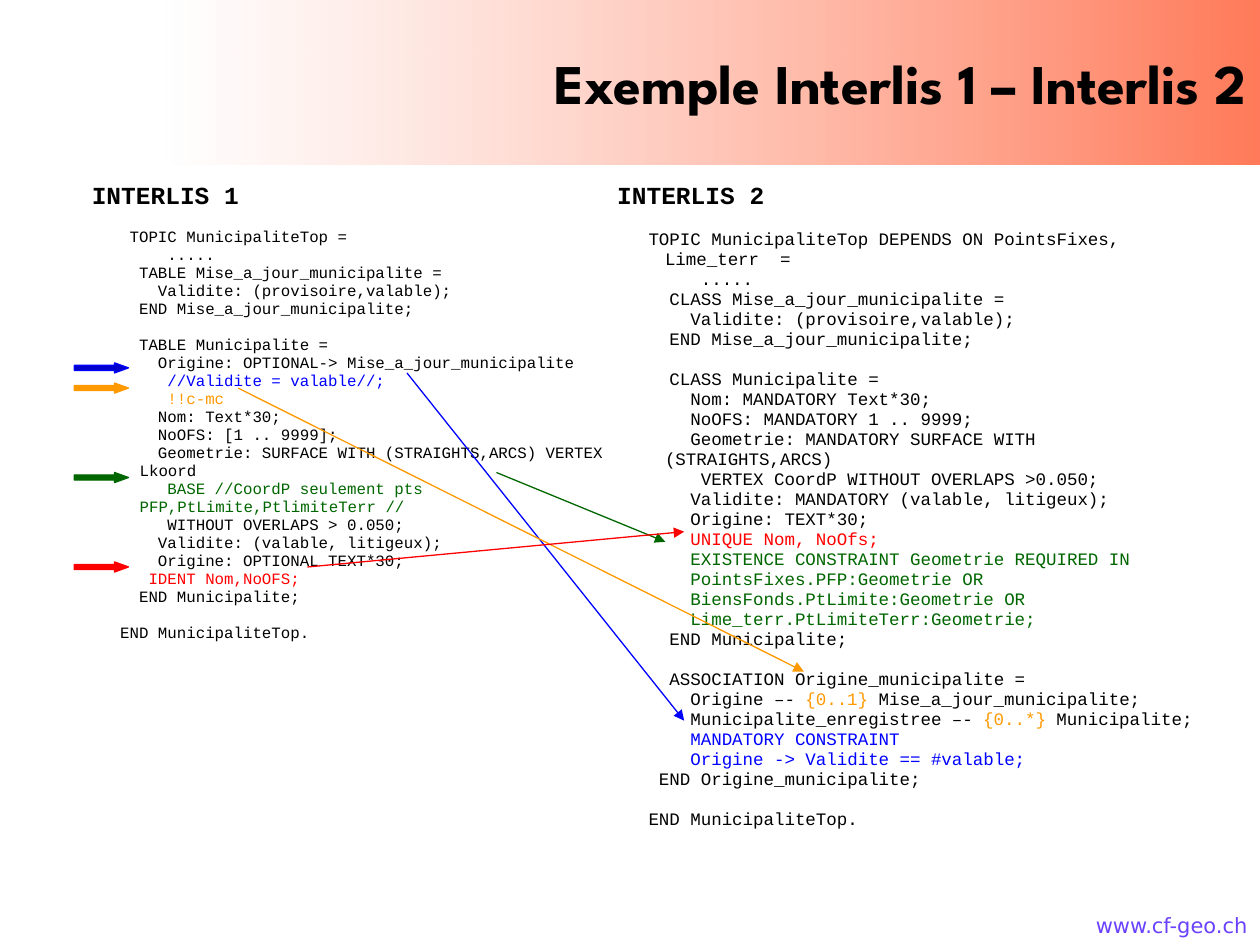
from lxml import etree
from pptx import Presentation
from pptx.dml.color import RGBColor
from pptx.enum import shapes, text
from pptx.oxml.ns import qn
from pptx.util import Inches, Pt

BLACK = RGBColor(0x00, 0x00, 0x00)
WHITE = RGBColor(0xFF, 0xFF, 0xFF)
BLUE = RGBColor(0x00, 0x00, 0xFF)
NAVY = RGBColor(0x00, 0x00, 0xCC)
ORANGE = RGBColor(0xFF, 0x99, 0x00)
GREEN = RGBColor(0x00, 0x66, 0x00)
RED = RGBColor(0xFF, 0x00, 0x00)
CORAL = RGBColor(0xFF, 0x33, 0x00)
VIOLET = RGBColor(0x6A, 0x42, 0xFE)

MONO = "Courier New"
TITLE = "Exemple Interlis 1 – Interlis 2"
SITE = "www.cf-geo.ch"

# A line is a string, or a tuple of (text, colour) runs; "" leaves a gap.
OLD = [
    "    TOPIC MunicipaliteTop =",
    "        .....",
    "     TABLE Mise_a_jour_municipalite =",
    "       Validite: (provisoire,valable);",
    "     END Mise_a_jour_municipalite;",
    "",
    "     TABLE Municipalite =",
    "       Origine: OPTIONAL-> Mise_a_jour_municipalite",
    (("        //Validite = valable//;", BLUE),),
    (("        !!c-mc", ORANGE),),
    "       Nom: Text*30;",
    "       NoOFS: [1 .. 9999];",
    "       Geometrie: SURFACE WITH (STRAIGHTS,ARCS) VERTEX Lkoord",
    (("        BASE //CoordP seulement pts PFP,PtLimite,PtlimiteTerr //", GREEN),),
    "        WITHOUT OVERLAPS > 0.050;",
    "       Validite: (valable, litigeux);",
    "       Origine: OPTIONAL TEXT*30;",
    (("      IDENT Nom,NoOFS;", RED),),
    "     END Municipalite;",
    "",
    "   END MunicipaliteTop.",
]
NEW = [
    "   TOPIC MunicipaliteTop DEPENDS ON PointsFixes, Lime_terr  =",
    "        .....",
    "     CLASS Mise_a_jour_municipalite =",
    "       Validite: (provisoire,valable);",
    "     END Mise_a_jour_municipalite;",
    "",
    "     CLASS Municipalite =",
    "       Nom: MANDATORY Text*30;",
    "       NoOFS: MANDATORY 1 .. 9999;",
    "       Geometrie: MANDATORY SURFACE WITH (STRAIGHTS,ARCS)",
    "        VERTEX CoordP WITHOUT OVERLAPS >0.050;",
    "       Validite: MANDATORY (valable, litigeux);",
    "       Origine: TEXT*30;",
    (("       UNIQUE Nom, NoOfs;", RED),),
    (("       EXISTENCE CONSTRAINT Geometrie REQUIRED IN", GREEN),),
    (("       PointsFixes.PFP:Geometrie OR", GREEN),),
    (("       BiensFonds.PtLimite:Geometrie OR", GREEN),),
    (("       Lime_terr.PtLimiteTerr:Geometrie;", GREEN),),
    "     END Municipalite;",
    "",
    "     ASSOCIATION Origine_municipalite =",
    (("       Origine –- ", BLACK), ("{0..1} ", ORANGE),
     ("Mise_a_jour_municipalite;", BLACK)),
    (("       Municipalite_enregistree –- ", BLACK), ("{0..*} ", ORANGE),
     ("Municipalite;", BLACK)),
    (("       MANDATORY CONSTRAINT", BLUE),),
    (("       Origine -> Validite == #valable;", BLUE),),
    "    END Origine_municipalite;",
    "",
    "   END MunicipaliteTop.",
]
# heading, box, code size, line pitch in points, lines
LISTS = [
    ("INTERLIS 1", (0.63, 1.39, 4.69, 3.82), 9, 10.29, OLD),
    ("INTERLIS 2", (4.8, 1.39, 4.84, 5.04), 10, 11.43, NEW),
]
LINKS = [
    ((3.23, 2.96), (5.43, 5.72), BLUE),
    ((1.89, 3.08), (6.38, 5.33), ORANGE),
    ((3.94, 3.75), (5.28, 4.3), GREEN),
    ((2.44, 4.5), (5.43, 4.22), RED),
]
# top, fill, line
MARKS = [(2.88, NAVY, BLUE), (3.04, ORANGE, ORANGE),
         (3.75, GREEN, GREEN), (4.46, RED, RED)]


def put(para, words, color, **form):
    run = para.add_run()
    run.text = words
    run.font.color.rgb = color
    for key, val in form.items():
        setattr(run.font, key, val)


def add_box(slide, box):
    frame = slide.shapes.add_textbox(*map(Inches, box)).text_frame
    frame.word_wrap = True
    return frame


def add_code(slide, head, box, size, pitch, lines):
    frame = add_box(slide, box)
    para = frame.paragraphs[0]
    para.line_spacing = Pt(16)
    put(para, head, BLACK, name=MONO, size=Pt(14), bold=True)
    gap = pitch
    for line in lines:
        if not line:
            gap = pitch
            continue
        para = frame.add_paragraph()
        para.line_spacing, para.space_before = Pt(pitch), Pt(gap)
        gap = 0
        props = para._p.get_or_add_pPr()
        props.set("marL", str(Inches(0.38)))
        props.set("indent", str(Inches(-0.38)))
        runs = ((line, BLACK),) if isinstance(line, str) else line
        for words, color in runs:
            put(para, words, color, name=MONO, size=Pt(size), bold=False)


def add_link(slide, start, end, color):
    link = slide.shapes.add_connector(
        shapes.MSO_CONNECTOR.STRAIGHT, *map(Inches, start + end))
    link.line.color.rgb = color
    link.line.width = Pt(0.75)
    etree.SubElement(link.line._get_or_add_ln(), qn("a:tailEnd"), type="triangle")
    etree.SubElement(link._element.spPr, qn("a:effectLst"))


def add_mark(slide, top, fill, edge):
    mark = slide.shapes.add_shape(
        shapes.MSO_SHAPE.RIGHT_ARROW, *map(Inches, (0.59, top, 0.43, 0.08)))
    mark.shadow.inherit = False
    mark.adjustments[0], mark.adjustments[1] = 0.5, 1.38
    mark.fill.solid()
    mark.fill.fore_color.rgb = fill
    mark.line.color.rgb = edge
    mark.line.width = Pt(0.75)


def add_title(slide):
    band = slide.shapes.add_shape(
        shapes.MSO_SHAPE.RECTANGLE, *map(Inches, (1.31, 0, 8.69, 1.31)))
    band.shadow.inherit = False
    band.line.fill.background()
    band.fill.gradient()
    band.fill.gradient_angle = 0
    for stop, color, alpha in zip(band.fill.gradient_stops, (WHITE, CORAL), (46, 65)):
        stop.color.rgb = color
        tint = stop._gs.find(qn("a:srgbClr"))
        etree.SubElement(tint, qn("a:alpha"), val=str(alpha * 1000))
    for stop, place in zip(band.fill.gradient_stops, (0, 1)):
        stop.position = place
    frame = band.text_frame
    frame.word_wrap = True
    frame.vertical_anchor = text.MSO_ANCHOR.MIDDLE
    para = frame.paragraphs[0]
    para.alignment = text.PP_ALIGN.RIGHT
    put(para, TITLE, BLACK, name="League Spartan", size=Pt(32), bold=True)


def main():
    deck = Presentation()
    deck.slide_width, deck.slide_height = Inches(10), Inches(7.5)
    slide = deck.slides.add_slide(deck.slide_layouts[6])
    para = add_box(slide, (8.31, 7.19, 1.69, 0.5)).paragraphs[0]
    para.alignment = text.PP_ALIGN.RIGHT
    put(para, SITE, VIOLET, name="DejaVu Sans", size=Pt(12))
    for part in LISTS:
        add_code(slide, *part)
    for link in LINKS:
        add_link(slide, *link)
    for mark in MARKS:
        add_mark(slide, *mark)
    add_title(slide)
    deck.save("out.pptx")


if __name__ == "__main__":
    main()
